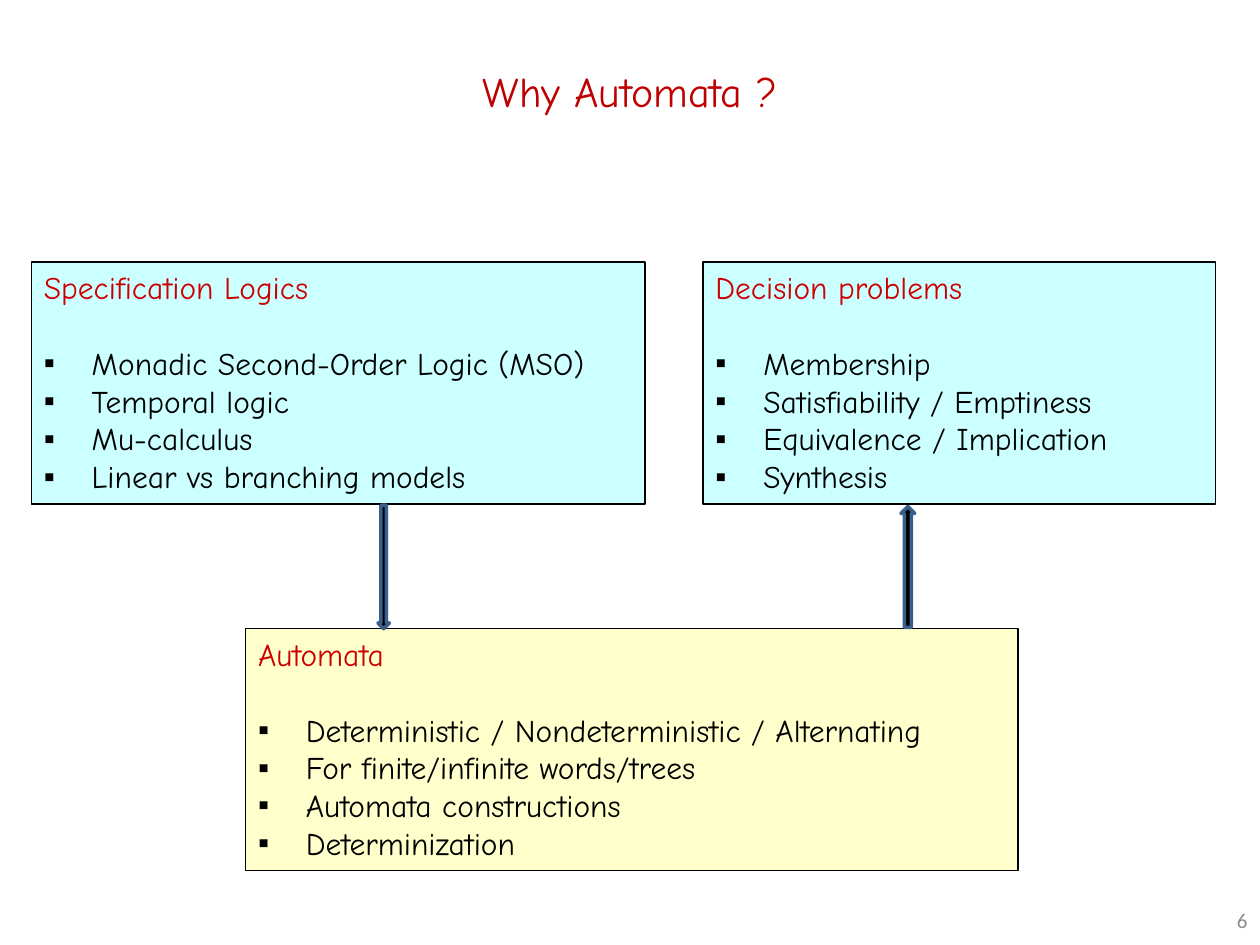
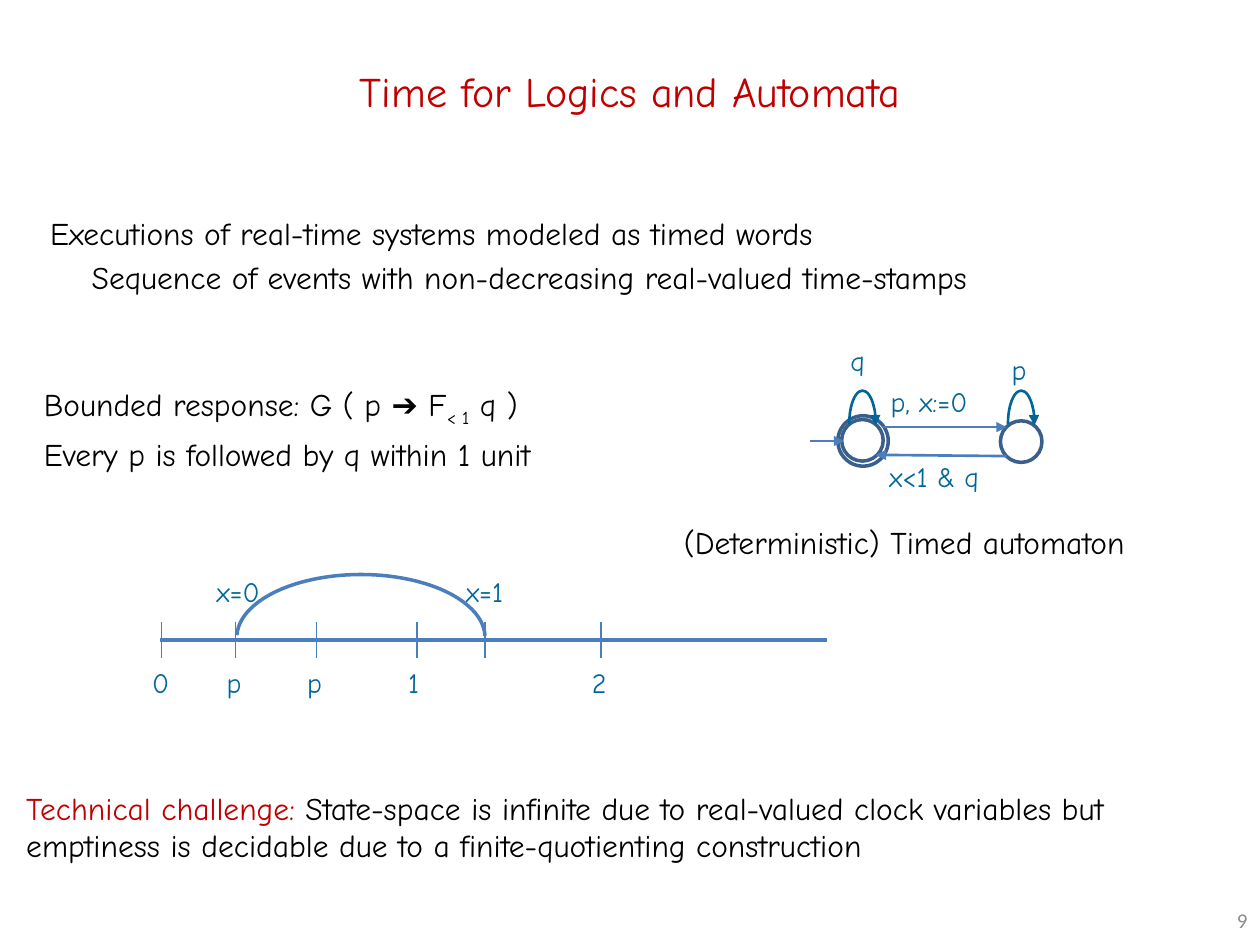
"""Builds two slides on automata, logics and time."""
from pptx import Presentation
from pptx.dml.color import RGBColor
from pptx.enum.shapes import MSO_CONNECTOR, MSO_SHAPE
from pptx.enum.text import MSO_ANCHOR, PP_ALIGN
from pptx.oxml.ns import qn
from pptx.util import Inches, Pt
from lxml.etree import SubElement

COLORS = {
    "title": "C00000", "heading": "CC0000", "text": "000000", "label": "006699",
    "line": "4B7EBC", "outline": "3A5F8C", "number": "8C8C8C",
    "cyan": "CCFFFF", "yellow": "FFFFCC",
}
FONT = "Comic Neue"


class Deck:
    """Holds the shared style and the current slide."""

    def __init__(self):
        """Start an empty 10 by 7.5 inch presentation."""
        self.prs = Presentation()
        self.prs.slide_width, self.prs.slide_height = Inches(10), Inches(7.5)
        self.s = None

    def style(self, font, size, color, name=FONT):
        """Set size, colour and typeface of a font."""
        font.size, font.name = Pt(size), name
        font.color.rgb = RGBColor.from_string(COLORS[color])

    def outline(self, line, color, width, arrow=False):
        """Format a line, with an arrowhead at its end if asked."""
        line.color.rgb = RGBColor.from_string(COLORS[color])
        line.width = Pt(width)
        if arrow:
            SubElement(line._get_or_add_ln(), qn("a:tailEnd"), type="triangle")

    def slide(self, title, number):
        """Add a slide with its title and page number."""
        self.s = self.prs.slides.add_slide(self.prs.slide_layouts[5])
        sp = self.s.shapes.title
        sp.left, sp.top, sp.width, sp.height = map(Inches, (0.46, 0.33, 9.08, 0.78))
        tf = sp.text_frame
        tf.text = title
        tf.vertical_anchor = MSO_ANCHOR.MIDDLE
        p = tf.paragraphs[0]
        p.alignment = PP_ALIGN.CENTER
        self.style(p.runs[0].font, 24, "title")
        tf = self.text(9.42, 7.1, 0.58, 0.4, [[(number, "number")]], 12, "Calibri")
        tf.vertical_anchor = MSO_ANCHOR.MIDDLE
        tf.paragraphs[0].alignment = PP_ALIGN.RIGHT

    def text(self, x, y, w, h, paragraphs, size=18, name=FONT):
        """Add a text box; each paragraph is a list of (text, colour) runs."""
        tf = self.s.shapes.add_textbox(*map(Inches, (x, y, w, h))).text_frame
        tf.word_wrap = True
        for i, runs in enumerate(paragraphs):
            p = tf.add_paragraph() if i else tf.paragraphs[0]
            if i:
                p.space_before = Pt(size * 0.2)
            for text, color in runs:
                r = p.add_run()
                r.text = text
                self.style(r.font, size, color, name)
        return tf

    def label(self, x, y, text, w=0.37):
        """Add a small diagram label."""
        self.text(x, y, w, 0.44, [[(text, "label")]], 16)

    def shape(self, kind, x, y, w, h, color, width, fill=None, arrow=False):
        """Add a preset shape, unfilled by default."""
        sp = self.s.shapes.add_shape(kind, *map(Inches, (x, y, w, h)))
        sp.shadow.inherit = False
        if fill:
            sp.fill.solid()
            sp.fill.fore_color.rgb = RGBColor.from_string(COLORS[fill])
        else:
            sp.fill.background()
        self.outline(sp.line, color, width, arrow)
        return sp

    def arc(self, x, y, w, h, angles, color, width, arrow=False):
        """Add an arc between two angles in degrees."""
        sp = self.shape(MSO_SHAPE.ARC, x, y, w, h, color, width, arrow=arrow)
        for i, angle in enumerate(angles):
            sp.adjustments[i] = angle * 0.6

    def line(self, x1, y1, x2, y2, width, arrow=False):
        """Add a straight line or arrow."""
        c = self.s.shapes.add_connector(
            MSO_CONNECTOR.STRAIGHT, *map(Inches, (x1, y1, x2, y2)))
        self.outline(c.line, "line", width, arrow)
        SubElement(c._element.spPr, qn("a:effectLst"))

    def panel(self, x, y, w, fill, heading, items):
        """Add a filled box with a heading and a bulleted list."""
        sp = self.shape(MSO_SHAPE.RECTANGLE, x, y, w, 1.92, "text", 0.75, fill)
        tf = sp.text_frame
        tf.word_wrap = True
        tf.vertical_anchor = MSO_ANCHOR.TOP
        tf.text = "\n".join([heading, *items])
        for i, p in enumerate(tf.paragraphs):
            p.alignment = PP_ALIGN.LEFT
            if i == 1:
                p.space_before = Pt(21.6)
            if i:
                pPr = p._p.get_or_add_pPr()
                pPr.set("marL", str(Inches(0.38)))
                pPr.set("indent", str(-Inches(0.38)))
                SubElement(pPr, qn("a:buFont"), typeface="Arial")
                SubElement(pPr, qn("a:buChar"), char="▪")
            self.style(p.runs[0].font, 18, "text" if i else "heading")


def why_automata(d):
    """Build the slide linking logics, automata and problems."""
    d.slide("Why Automata ?", "6")
    d.panel(0.25, 2.08, 4.87, "cyan", "Specification Logics", [
        "Monadic Second-Order Logic (MSO)", "Temporal logic", "Mu-calculus",
        "Linear vs branching models"])
    d.panel(5.58, 2.08, 4.07, "cyan", "Decision problems", [
        "Membership", "Satisfiability / Emptiness", "Equivalence / Implication",
        "Synthesis"])
    d.panel(1.95, 4.99, 6.13, "yellow", "Automata", [
        "Deterministic / Nondeterministic / Alternating",
        "For finite/infinite words/trees", "Automata constructions",
        "Determinization"])
    d.shape(MSO_SHAPE.DOWN_ARROW, 3, 4.01, 0.09, 0.98, "outline", 2, "text")
    d.shape(MSO_SHAPE.UP_ARROW, 7.15, 4.02, 0.11, 0.96, "outline", 2, "text")


def timed_automaton(d):
    """Draw the two-state timed automaton."""
    for x, y, size in ((6.68, 3.33, 0.33), (7.94, 3.34, 0.33), (6.65, 3.3, 0.4)):
        d.shape(MSO_SHAPE.OVAL, x, y, size, size, "outline", 2)
    for ends in ((6.43, 3.5, 6.7, 3.5), (7, 3.39, 7.99, 3.39), (7.99, 3.62, 6.95, 3.61)):
        d.line(*ends, 1.5, arrow=True)
    for x in (6.74, 8):
        d.arc(x, 3.1, 0.21, 0.52, (176.53, 9.09), "label", 1.5, arrow=True)
    d.label(6.65, 2.68, "q")
    d.label(7.93, 2.75, "p")
    d.label(6.97, 3, "p, x:=0", 1.14)
    d.label(6.96, 3.6, "x<1 & q", 1.14)


def timeline(d):
    """Draw the time axis with its ticks and clock arc."""
    d.line(1.27, 5.08, 6.56, 5.08, 2)
    for x, mark in ((1.28, "0"), (1.87, "p"), (2.51, "p"), (3.31, "1"),
                    (3.85, None), (4.77, "2")):
        d.line(x, 4.94, x, 5.22, 0.75)
        if mark:
            d.label(x - 0.17, 5.23, mark)
    d.label(1.62, 4.51, "x=0", 0.65)
    d.label(3.6, 4.51, "x=1", 0.65)
    d.arc(1.88, 4.56, 1.97, 1, (181.05, 359.25), "line", 2)


def time_for_logics(d):
    """Build the slide on timed words and timed automata."""
    d.slide("Time for Logics and Automata", "9")
    tf = d.text(0.3, 1.65, 9.37, 1.02, [
        [("Executions of real-time systems modeled as timed words", "text")],
        [("Sequence of events with non-decreasing real-valued time-stamps", "text")]])
    tf.paragraphs[1]._p.get_or_add_pPr().set("marL", str(Inches(0.33)))
    tf = d.text(0.25, 3.01, 5, 1.31, [
        [("Bounded response: G ( p ➔ F", "text"), ("< 1", "text"), (" q )", "text")],
        [("Every p is followed by q within 1 unit", "text")]])
    tf.paragraphs[0].runs[1]._r.get_or_add_rPr().set("baseline", "-25000")
    d.text(5.33, 4.1, 4.06, 0.5, [[("(Deterministic) Timed automaton", "text")]])
    timed_automaton(d)
    timeline(d)
    d.text(0.11, 6.21, 9.61, 1.02, [[
        ("Technical challenge: ", "title"),
        ("State-space is infinite due to real-valued clock variables but emptiness "
         "is decidable due to a finite-quotienting construction", "text")]])


def main():
    """Build and save the deck."""
    d = Deck()
    why_automata(d)
    time_for_logics(d)
    d.prs.save("out.pptx")


if __name__ == "__main__":
    main()
